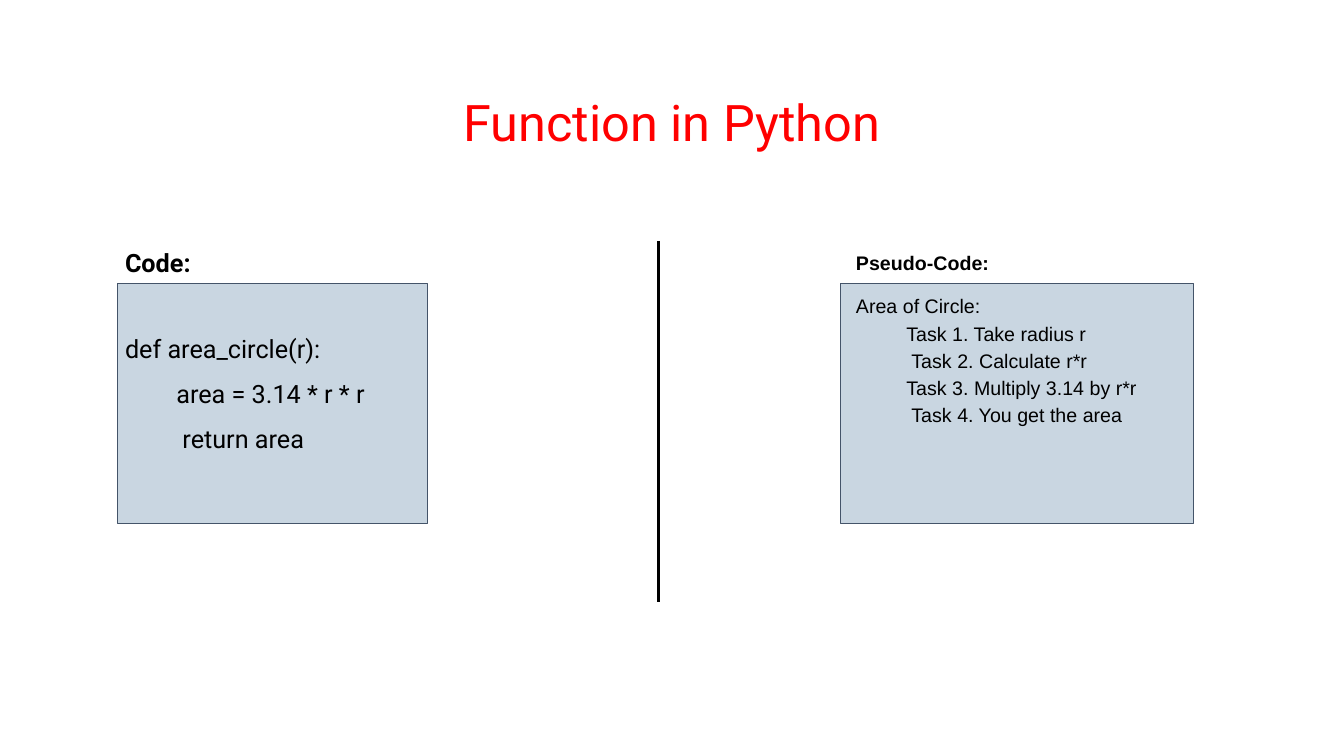
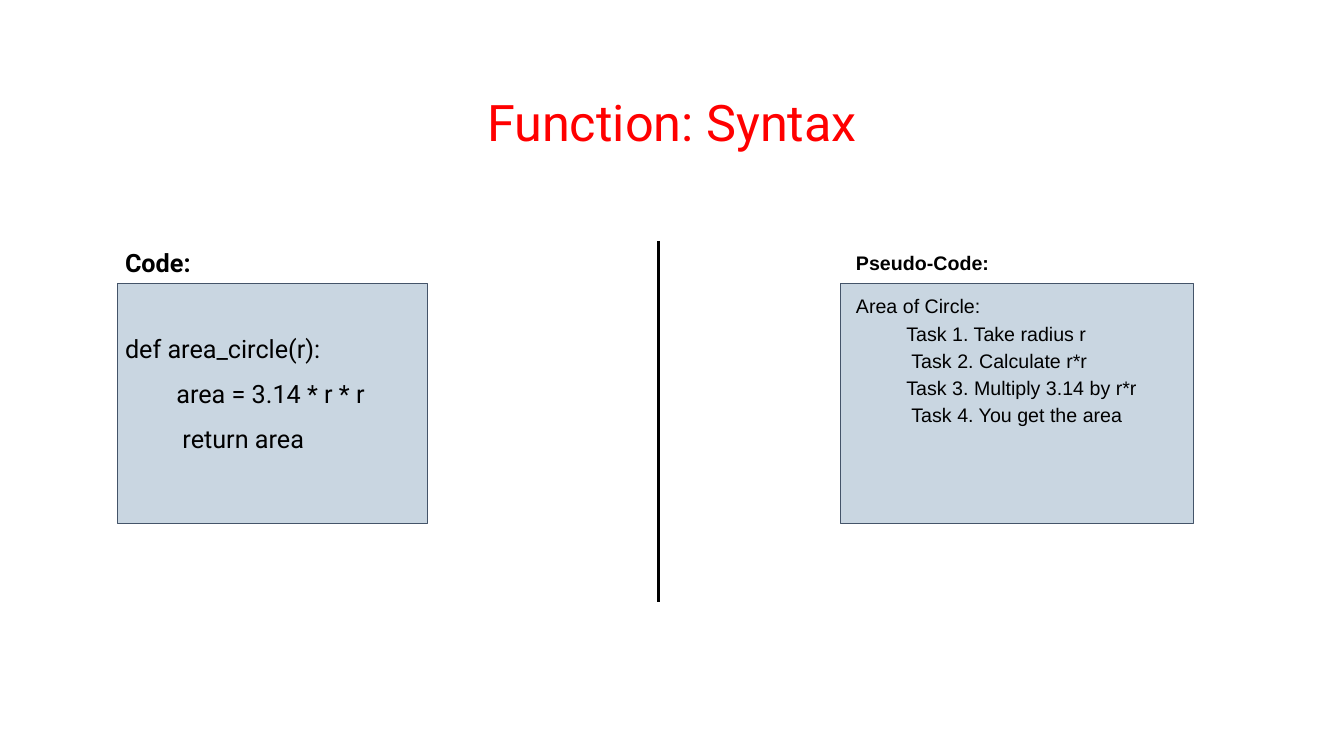
from lxml import etree
from pptx import Presentation, util as u
from pptx.dml.color import RGBColor
from pptx.enum import shapes, text
from pptx.oxml.ns import qn

HUES = {"title": "FF0000", "ink": "000000", "panel": "0B4679", "edge": "445469"}
TITLES = ["Function in Python", "Function: Syntax"]

# Each line of a panel is its indent in inches and its words.
PANELS = [
    dict(head="Code:", left=1.17, wide=3.07, pad=0.07, top=0.5, gap=1.49,
         font="Roboto", size=18, lines=[
             (0.07, "def area_circle(r):"),
             (0.58, "area = 3.14 * r * r"),
             (0.64, "return area")]),
    dict(head="Pseudo-Code:", left=8.34, wide=3.5, pad=0.15, top=0.11, gap=1.16,
         font="Arial", size=14, lines=[
             (0.15, "Area of Circle:"),
             (0.65, "Task 1. Take radius r"),
             (0.7, "Task 2. Calculate r*r"),
             (0.65, "Task 3. Multiply 3.14 by r*r"),
             (0.7, "Task 4. You get the area")]),
]

deck = Presentation()
deck.slide_width, deck.slide_height = u.Inches(13.33), u.Inches(7.5)
WIDE = deck.slide_width
HEAD, BODY, TALL = u.Inches(2.39), u.Inches(2.81), u.Inches(2.38)
RULE_X, RULE_END = int(WIDE * 0.49), u.Inches(5.97)


def write(shape, lines, font="Arial", size=14, hue="ink", bold=False, gap=1.0,
          top=0.01, align=text.PP_ALIGN.LEFT, anchor=text.MSO_ANCHOR.TOP):
    """Fill a shape with (indent, words) lines; gap spaces all but the first."""
    frame = shape.text_frame
    frame.word_wrap = True
    frame.auto_size = text.MSO_AUTO_SIZE.NONE
    frame.vertical_anchor = anchor
    frame.margin_left = frame.margin_right = frame.margin_bottom = 0
    frame.margin_top = u.Inches(top)
    for row, (dent, words) in enumerate(lines):
        para = frame.add_paragraph() if row else frame.paragraphs[0]
        para.alignment = align
        para.line_spacing = gap if row else 1.0
        para.space_before = u.Pt(0)
        para._p.get_or_add_pPr().set("marL", str(u.Inches(dent)))
        run = para.add_run()
        run.text = words
        run.font.name, run.font.size, run.font.bold = font, u.Pt(size), bold
        run.font.color.rgb = RGBColor.from_string(HUES[hue])


for name in TITLES:
    slide = deck.slides.add_slide(deck.slide_layouts[5])
    title = slide.shapes.title
    title.left, title.top = 0, u.Inches(0.88)
    title.width, title.height = WIDE, u.Inches(0.63)
    write(title, [(0, name)], font="Roboto", size=36, hue="title",
          align=text.PP_ALIGN.CENTER, anchor=text.MSO_ANCHOR.MIDDLE)

    rule = slide.shapes.add_connector(
        shapes.MSO_CONNECTOR.STRAIGHT, RULE_X, HEAD, RULE_X, RULE_END)
    rule.line.color.rgb = RGBColor.from_string(HUES["ink"])
    rule.line.width = u.Pt(1.5)
    etree.SubElement(rule._element.spPr, qn("a:effectLst"))

    for part in PANELS:
        left, wide = u.Inches(part["left"]), u.Inches(part["wide"])
        look = dict(font=part["font"], size=part["size"])

        head = slide.shapes.add_textbox(left, HEAD, wide, BODY - HEAD)
        write(head, [(part["pad"], part["head"])], bold=True,
              anchor=text.MSO_ANCHOR.MIDDLE, **look)

        box = slide.shapes.add_shape(
            shapes.MSO_SHAPE.RECTANGLE, left, BODY, wide, TALL)
        box.shadow.inherit = False
        box.fill.solid()
        box.fill.fore_color.rgb = RGBColor.from_string(HUES["panel"])
        tint = box._element.spPr.find(qn("a:solidFill"))[0]
        etree.SubElement(tint, qn("a:alpha"), val="22000")
        box.line.color.rgb = RGBColor.from_string(HUES["edge"])
        box.line.width = u.Pt(0.75)
        write(box, part["lines"], gap=part["gap"], top=part["top"], **look)

deck.save("out.pptx")
